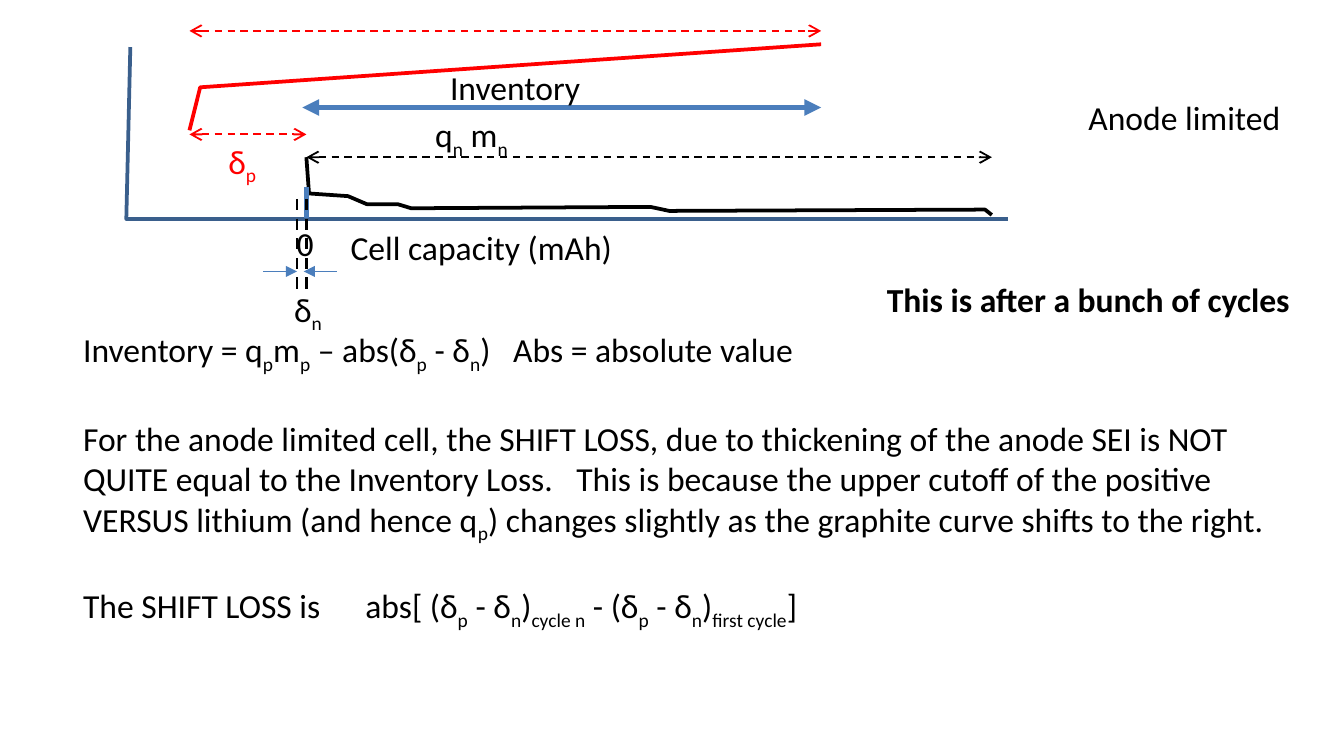
from lxml.etree import SubElement
from pptx import Presentation
from pptx.dml.color import RGBColor
from pptx.enum.dml import MSO_LINE_DASH_STYLE as Dash
from pptx.enum.shapes import MSO_CONNECTOR_TYPE as Connector
from pptx.oxml.ns import qn
from pptx.util import Inches, Pt

BLACK, RED, BLUE, NAVY = "000000", "FF0000", "4B7EBC", "3A5F8C"
ZERO, SHIFTED = 2.28, 2.21
POSITIVE_START, POSITIVE_END, NEGATIVE_END = 1.41, 6.11, 7.38

AXES = [(0.97, 0.35), (0.94, 1.63), (7.5, 1.63)]
POSITIVE_CURVE = [(POSITIVE_START, 0.97), (1.49, 0.65), (POSITIVE_END, 0.33)]
NEGATIVE_CURVE = [(ZERO, 1.17), (2.3, 1.44), (2.59, 1.46), (2.73, 1.52),
                  (2.96, 1.52), (3.06, 1.55), (4.84, 1.54), (4.98, 1.57),
                  (7.33, 1.56), (NEGATIVE_END, 1.6)]

DOUBLE_OPEN = {"headEnd": "arrow", "tailEnd": "arrow"}
DOUBLE_SOLID = {"headEnd": "triangle", "tailEnd": "triangle"}
LINES = [
    ((ZERO, 1.62), (ZERO, 1.39), BLUE, 2.25, None, {}),
    ((POSITIVE_START, 0.23), (POSITIVE_END, 0.23), RED, 1, Dash.DASH, DOUBLE_OPEN),
    ((ZERO, 1.17), (NEGATIVE_END, 1.17), BLACK, 1, Dash.DASH, DOUBLE_OPEN),
    ((POSITIVE_START, 1), (ZERO, 1), RED, 1, Dash.DASH, DOUBLE_OPEN),
    ((SHIFTED, 1.48), (SHIFTED, 2.2), BLACK, 1.5, Dash.DASH, {}),
    ((ZERO, 1.48), (ZERO, 2.2), BLACK, 1.5, Dash.DASH, {}),
    ((2.26, 2.02), (2.51, 2.02), BLUE, 0.75, None, {"headEnd": "triangle"}),
    ((1.96, 2.02), (SHIFTED, 2.02), BLUE, 0.75, None, {"tailEnd": "triangle"}),
    ((2.25, 0.8), (POSITIVE_END, 0.8), BLUE, 3, None, DOUBLE_SOLID),
]

LABELS = [
    ((2.11, 1.61, 0.33, 0.42), "0", {}),
    ((2.51, 1.64, 3.42, 0.4), "Cell capacity (mAh)", {}),
    ((3.14, 0.8, 1, 0.4), "q|n| m|n", {}),
    ((1.6, 1, 0.72, 0.4), "δ|p", {"color": RED}),
    ((2.09, 2.1, 0.72, 0.4), "δ|n", {}),
    ((3.25, 0.45, 1.25, 0.4), "Inventory", {}),
    ((8, 0.67, 1.75, 0.4), "Anode limited", {}),
    ((6.5, 2.03, 3.42, 0.4), "This is after a bunch of cycles", {"bold": True}),
]
INVENTORY = "Inventory = q|p|m|p| – abs(δ|p| - δ|n|)\tAbs = absolute value"
EXPLANATION = (
    "For the anode limited cell, the SHIFT LOSS, due to thickening of the anode SEI "
    "is NOT QUITE equal to the Inventory Loss.\tThis is because the upper cutoff of "
    "the positive VERSUS lithium (and hence q|p|) changes slightly as the graphite "
    "curve shifts to the right.")
SHIFT_LOSS = "The SHIFT LOSS is\tabs[ (δ|p| - δ|n|)|cycle n| - (δ|p| - δ|n|)|first cycle|]"


def rgb(value):
    """Turn a hex string into a colour."""
    return RGBColor.from_string(value)


def format_line(line, color, width):
    """Set the colour and the width in points of a line."""
    line.color.rgb = rgb(color)
    line.width = Pt(width)


def add_curve(slide, points, color):
    """Draw an open outline through points given in inches."""
    start, *others = [(Inches(x), Inches(y)) for x, y in points]
    builder = slide.shapes.build_freeform(*start)
    builder.add_line_segments(others, close=False)
    shape = builder.convert_to_shape()
    shape.shadow.inherit = False
    shape.fill.background()
    format_line(shape.line, color, 2)


def add_line(slide, start, end, color, width, dash, arrowheads):
    """Draw a straight line with optional dashes and arrowheads."""
    ends = [Inches(value) for value in start + end]
    connector = slide.shapes.add_connector(Connector.STRAIGHT, *ends)
    format_line(connector.line, color, width)
    if dash:
        connector.line.dash_style = dash
    properties = connector._element.spPr
    for tag, kind in arrowheads.items():
        SubElement(properties.find(qn("a:ln")), qn("a:" + tag), type=kind)
    SubElement(properties, qn("a:effectLst"))


def write_paragraph(paragraph, text, color=BLACK, bold=False, tab=None, before=0):
    """Write text in which every second part between bars is a subscript."""
    paragraph.space_before = Pt(before)
    if tab:
        tabs = SubElement(paragraph._p.get_or_add_pPr(), qn("a:tabLst"))
        SubElement(tabs, qn("a:tab"), pos=str(Inches(tab)), algn="l")
    font_values = {"name": "Calibri", "size": Pt(18), "bold": bold}
    for index, part in enumerate(text.split("|")):
        run = paragraph.add_run()
        run.text = part
        for attribute, value in font_values.items():
            setattr(run.font, attribute, value)
        run.font.color.rgb = rgb(color)
        if index % 2:
            run.font._element.set("baseline", "-25000")


def add_text(slide, box, *paragraphs):
    """Add a wrapping text box from pairs of text and format values."""
    frame = slide.shapes.add_textbox(*map(Inches, box)).text_frame
    frame.word_wrap = True
    for index, (text, values) in enumerate(paragraphs):
        paragraph = frame.add_paragraph() if index else frame.paragraphs[0]
        write_paragraph(paragraph, text, **values)


def main():
    """Build the slide on anode limited cells."""
    presentation = Presentation()
    presentation.slide_width = Inches(10)
    presentation.slide_height = Inches(10) * 9 // 16
    slide = presentation.slides.add_slide(presentation.slide_layouts[6])
    for points, color in ((AXES, NAVY), (POSITIVE_CURVE, RED), (NEGATIVE_CURVE, BLACK)):
        add_curve(slide, points, color)
    for line in LINES:
        add_line(slide, *line)
    for box, text, values in LABELS:
        add_text(slide, box, (text, values))
    add_text(slide, (0.52, 2.4, 8.42, 0.4), (INVENTORY, {"tab": 3.2}))
    add_text(slide, (0.52, 3.06, 9.14, 1.62), (EXPLANATION, {"tab": 3.67}),
             (SHIFT_LOSS, {"tab": 2.1, "before": 22}))
    presentation.save("out.pptx")


main()
